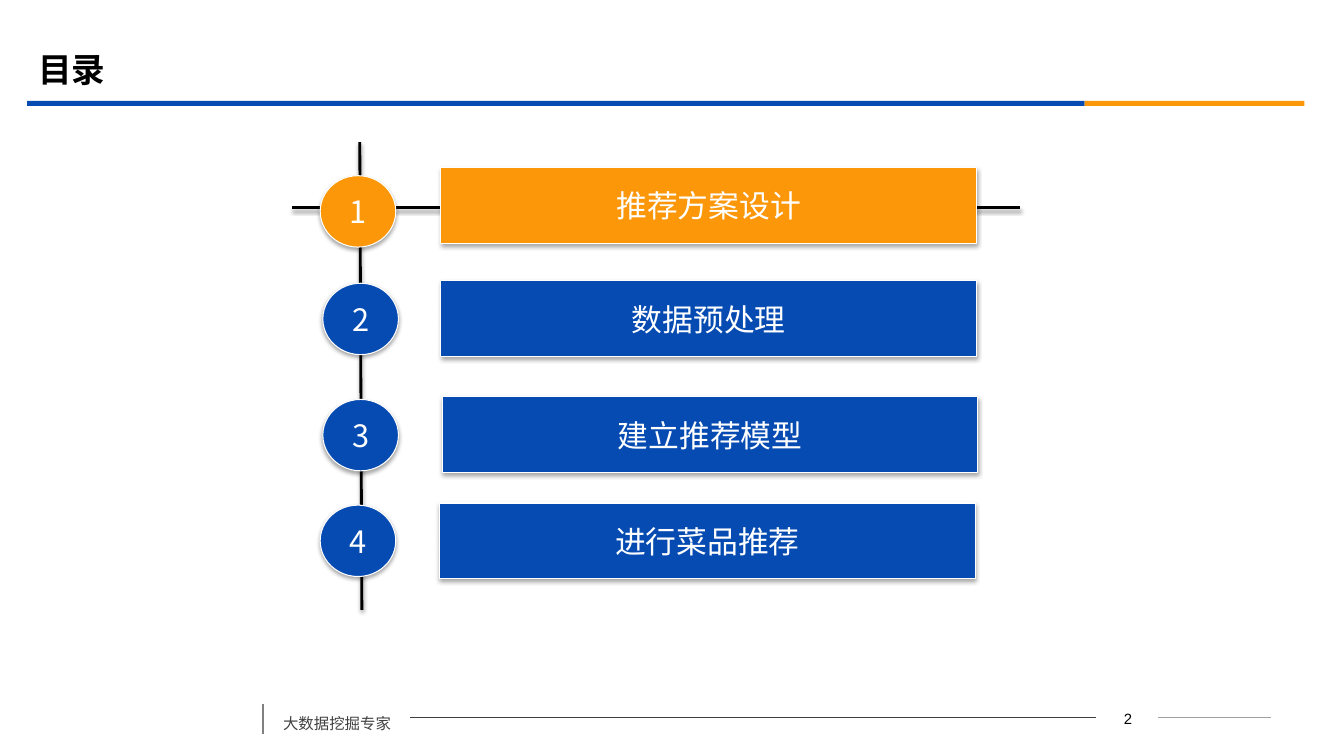
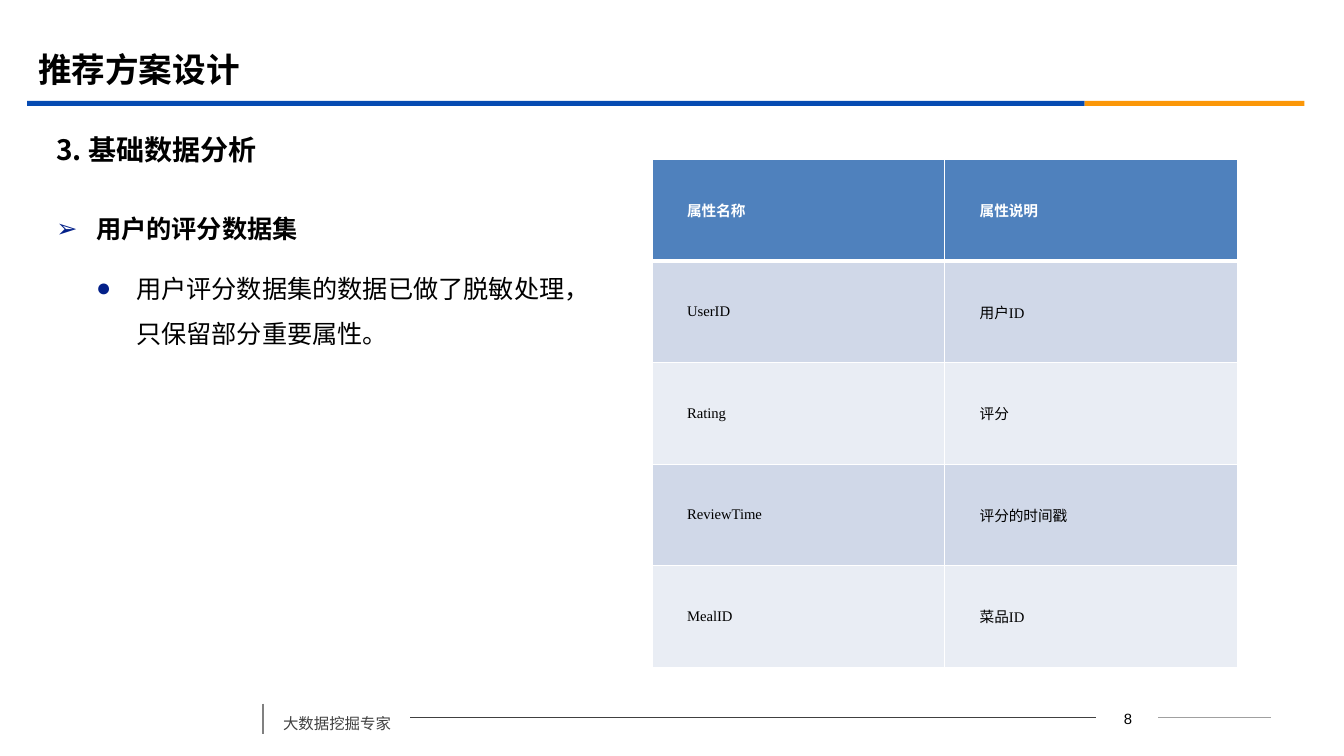
from typing import NamedTuple, Optional

from lxml.etree import SubElement
from pptx import Presentation
from pptx.dml.color import RGBColor
from pptx.enum.shapes import MSO_CONNECTOR, MSO_SHAPE
from pptx.enum.text import MSO_ANCHOR, MSO_AUTO_SIZE, PP_ALIGN
from pptx.oxml.ns import qn
from pptx.shapes.autoshape import Shape
from pptx.slide import Slide
from pptx.text.text import TextFrame, _Paragraph
from pptx.util import Pt

BLUE = RGBColor(0x06, 0x4B, 0xB2)
ORANGE = RGBColor(0xFB, 0x97, 0x08)
BULLET_BLUE = RGBColor(0x03, 0x20, 0x89)
BLACK = RGBColor(0, 0, 0)
WHITE = RGBColor(0xFF, 0xFF, 0xFF)
DARK_GREY = RGBColor(0x40, 0x40, 0x40)
MID_GREY = RGBColor(0x80, 0x80, 0x80)
LIGHT_GREY = RGBColor(0xA0, 0xA0, 0xA0)
HEADER_FILL = RGBColor(0x4F, 0x81, 0xBD)
ROW_FILLS = (RGBColor(0xD0, 0xD8, 0xE8), RGBColor(0xE9, 0xED, 0xF4))

CJK_FONT = "Noto Sans CJK SC"
SERIF_FONT = "Times New Roman"


class Box(NamedTuple):
    left: float
    top: float
    width: float
    height: float

    def emu(self) -> list[int]:
        return [Pt(length) for length in self]


class Style(NamedTuple):
    size: float
    color: RGBColor = BLACK
    bold: bool = False
    font: str = CJK_FONT


class Shadow(NamedTuple):
    opacity: int
    blur: float
    distance: float


class Rule(NamedTuple):
    start: tuple[float, float]
    end: tuple[float, float]
    color: RGBColor
    width: float


class AgendaItem(NamedTuple):
    text: str
    circle: tuple[float, float]
    bar: tuple[float, float]
    color: RGBColor = BLUE


class Bullet(NamedTuple):
    text: str
    symbol: str
    left: float
    bold: bool


TITLE = Style(24, bold=True)
AGENDA_TEXT = Style(22, WHITE)
SHAPE_SHADOW = Shadow(35, 3.1, 1.8)
LINE_SHADOW = Shadow(38, 3.1, 1.6)

HEADER_BANDS = (
    (Box(19.4, 72, 755.3, 3.6), BLUE),
    (Box(774.7, 72, 157, 3.6), ORANGE),
)
FOOTER_RULES = (
    Rule((827.3, 512.8), (907.9, 512.8), LIGHT_GREY, 0.75),
    Rule((293, 512.8), (782.6, 512.8), DARK_GREY, 0.75),
    Rule((187.9, 502.6), (187.9, 524.2), MID_GREY, 1.25),
)
AGENDA_RULES = (
    Rule((257, 101.5), (258.5, 435.6), BLACK, 2),
    Rule((208.8, 148.3), (728.6, 148.3), BLACK, 2),
)
AGENDA = (
    AgendaItem("推荐方案设计", (228.7, 125.5), (315, 119.7), ORANGE),
    AgendaItem("数据预处理", (230.6, 202.3), (315, 200.7)),
    AgendaItem("建立推荐模型", (230.6, 285.3), (316, 283.5)),
    AgendaItem("进行菜品推荐", (228.7, 360.8), (314, 359.3)),
)
BULLETS = (
    Bullet("用户的评分数据集", "➢", 28.5, True),
    Bullet("用户评分数据集的数据已做了脱敏处理，只保留部分重要属性。", "●", 57, False),
)
ATTRIBUTES = (
    ("属性名称", "属性说明"),
    ("UserID", "用户ID"),
    ("Rating", "评分"),
    ("ReviewTime", "评分的时间戳"),
    ("MealID", "菜品ID"),
)


def format_text(paragraph: _Paragraph, style: Style) -> None:
    for run in paragraph.runs:
        run.font.size = Pt(style.size)
        run.font.bold = style.bold
        run.font.name = style.font
        run.font.color.rgb = style.color
        SubElement(run.font._element, qn("a:ea"), typeface=CJK_FONT)


def add_solid(parent, color: RGBColor):
    fill = SubElement(parent, qn("a:solidFill"))
    return SubElement(fill, qn("a:srgbClr"), val=str(color))


def set_effects(shape, shadow: Optional[Shadow] = None) -> None:
    """Replace the theme shadow with the given one, or with none."""
    effects = SubElement(shape.element.spPr, qn("a:effectLst"))
    if shadow:
        outer = SubElement(effects, qn("a:outerShdw"), blurRad=str(Pt(shadow.blur)),
                           dist=str(Pt(shadow.distance)), dir="5400000", rotWithShape="0")
        color = SubElement(outer, qn("a:srgbClr"), val=str(BLACK))
        SubElement(color, qn("a:alpha"), val=str(shadow.opacity * 1000))


def add_rule(slide: Slide, rule: Rule, shadow: Optional[Shadow] = None) -> None:
    ends = [Pt(length) for length in (*rule.start, *rule.end)]
    line = slide.shapes.add_connector(MSO_CONNECTOR.STRAIGHT, *ends)
    line.line.color.rgb = rule.color
    line.line.width = Pt(rule.width)
    set_effects(line, shadow)


def add_filled(slide: Slide, kind: MSO_SHAPE, box: Box, color: RGBColor) -> Shape:
    shape = slide.shapes.add_shape(kind, *box.emu())
    shape.fill.solid()
    shape.fill.fore_color.rgb = color
    shape.line.fill.background()
    return shape


def add_text(slide: Slide, box: Box, text: str, style: Style,
             anchor: MSO_ANCHOR = MSO_ANCHOR.TOP) -> TextFrame:
    frame = slide.shapes.add_textbox(*box.emu()).text_frame
    frame.word_wrap = True
    frame.vertical_anchor = anchor
    frame.text = text
    format_text(frame.paragraphs[0], style)
    return frame


def add_page(deck, title: str, number: int) -> Slide:
    """Add a slide with the shared title, header bands and footer."""
    slide = deck.slides.add_slide(deck.slide_layouts[6])
    for box, color in HEADER_BANDS:
        band = add_filled(slide, MSO_SHAPE.RECTANGLE, box, color)
        band.shadow.inherit = False
    for rule in FOOTER_RULES:
        add_rule(slide, rule)
    add_text(slide, Box(20.2, 28, 864, 42), title, TITLE, MSO_ANCHOR.MIDDLE)

    motto = add_text(slide, Box(195.1, 499.7, 97.9, 27.4), "大数据挖掘专家",
                     Style(11, DARK_GREY))
    motto.auto_size = MSO_AUTO_SIZE.SHAPE_TO_FIT_TEXT
    motto.paragraphs[0].line_spacing = 1.5
    motto.paragraphs[0].space_before = Pt(6)

    page = add_text(slide, Box(783.4, 503.3, 44.6, 18), str(number),
                    Style(10.6, font="Arial"))
    page.paragraphs[0].alignment = PP_ALIGN.CENTER
    return slide


def add_agenda_shape(slide: Slide, kind: MSO_SHAPE, box: Box, text: str,
                     color: RGBColor) -> None:
    shape = add_filled(slide, kind, box, color)
    shape.line.color.rgb = WHITE
    shape.line.width = Pt(0.75)
    set_effects(shape, SHAPE_SHADOW)
    frame = shape.text_frame
    frame.word_wrap = False
    frame.vertical_anchor = MSO_ANCHOR.MIDDLE
    frame.text = text
    frame.paragraphs[0].alignment = PP_ALIGN.CENTER
    format_text(frame.paragraphs[0], AGENDA_TEXT)


def build_agenda(deck) -> None:
    slide = add_page(deck, "目录", 2)
    for rule in AGENDA_RULES:
        add_rule(slide, rule, LINE_SHADOW)
    for number, item in enumerate(AGENDA, 1):
        add_agenda_shape(slide, MSO_SHAPE.OVAL, Box(*item.circle, 54, 51),
                         str(number), item.color)
        add_agenda_shape(slide, MSO_SHAPE.ACTION_BUTTON_CUSTOM, Box(*item.bar, 382.5, 54),
                         item.text, item.color)


def add_bullets(slide: Slide, box: Box) -> None:
    frame = slide.shapes.add_textbox(*box.emu()).text_frame
    frame.word_wrap = True
    for index, bullet in enumerate(BULLETS):
        paragraph = frame.add_paragraph() if index else frame.paragraphs[0]
        paragraph.text = bullet.text
        paragraph.line_spacing = 1.5
        paragraph.space_before = Pt(10)
        format_text(paragraph, Style(18, bold=bullet.bold))
        props = paragraph._p.get_or_add_pPr()
        props.set("marL", str(Pt(bullet.left)))
        props.set("indent", str(Pt(-28.5)))
        color = SubElement(props, qn("a:buClr"))
        SubElement(color, qn("a:srgbClr"), val=str(BULLET_BLUE))
        SubElement(props, qn("a:buFont"), typeface="Arial")
        SubElement(props, qn("a:buChar"), char=bullet.symbol)


def fill_cell(cell, text: str, row: int) -> None:
    is_header = row == 0
    cell.margin_left = cell.margin_right = Pt(5)
    cell.margin_top = cell.margin_bottom = Pt(0)
    cell.vertical_anchor = MSO_ANCHOR.MIDDLE
    cell.text = text
    paragraph = cell.text_frame.paragraphs[0]
    paragraph.alignment = PP_ALIGN.JUSTIFY
    color = WHITE if is_header else BLACK
    format_text(paragraph, Style(10.5, color, is_header, SERIF_FONT))
    indents = paragraph._p.get_or_add_pPr()
    indents.set("marL", str(Pt(10)))
    indents.set("indent", str(Pt(10)))

    # Borders come before the fill in the cell properties
    props = cell._tc.get_or_add_tcPr()
    for side in ("L", "R", "T", "B"):
        is_heavy = (row, side) in ((0, "B"), (1, "T"))
        border = SubElement(props, qn(f"a:ln{side}"), w=str(Pt(3 if is_heavy else 1)))
        add_solid(border, WHITE)
    cell.fill.solid()
    cell.fill.fore_color.rgb = HEADER_FILL if is_header else ROW_FILLS[(row - 1) % 2]


def add_attribute_table(slide: Slide, box: Box) -> None:
    rows, columns = len(ATTRIBUTES), len(ATTRIBUTES[0])
    table = slide.shapes.add_table(rows, columns, *box.emu()).table
    for column in table.columns:
        column.width = Pt(box.width / columns)
    for index, texts in enumerate(ATTRIBUTES):
        table.rows[index].height = Pt(box.height / rows)
        for column, text in enumerate(texts):
            fill_cell(table.cell(index, column), text, index)


def build_data_analysis(deck) -> None:
    slide = add_page(deck, "推荐方案设计", 8)
    heading = add_text(slide, Box(33.1, 90, 874.8, 33.8), "3. 基础数据分析",
                       Style(20, bold=True), MSO_ANCHOR.MIDDLE)
    heading.paragraphs[0].space_before = Pt(4)
    add_bullets(slide, Box(33.1, 138.2, 387.4, 226.8))
    add_attribute_table(slide, Box(465.8, 114, 418, 362.6))


def main() -> None:
    deck = Presentation()
    deck.slide_width, deck.slide_height = Pt(960), Pt(540)
    build_agenda(deck)
    build_data_analysis(deck)
    deck.save("out.pptx")


if __name__ == "__main__":
    main()
